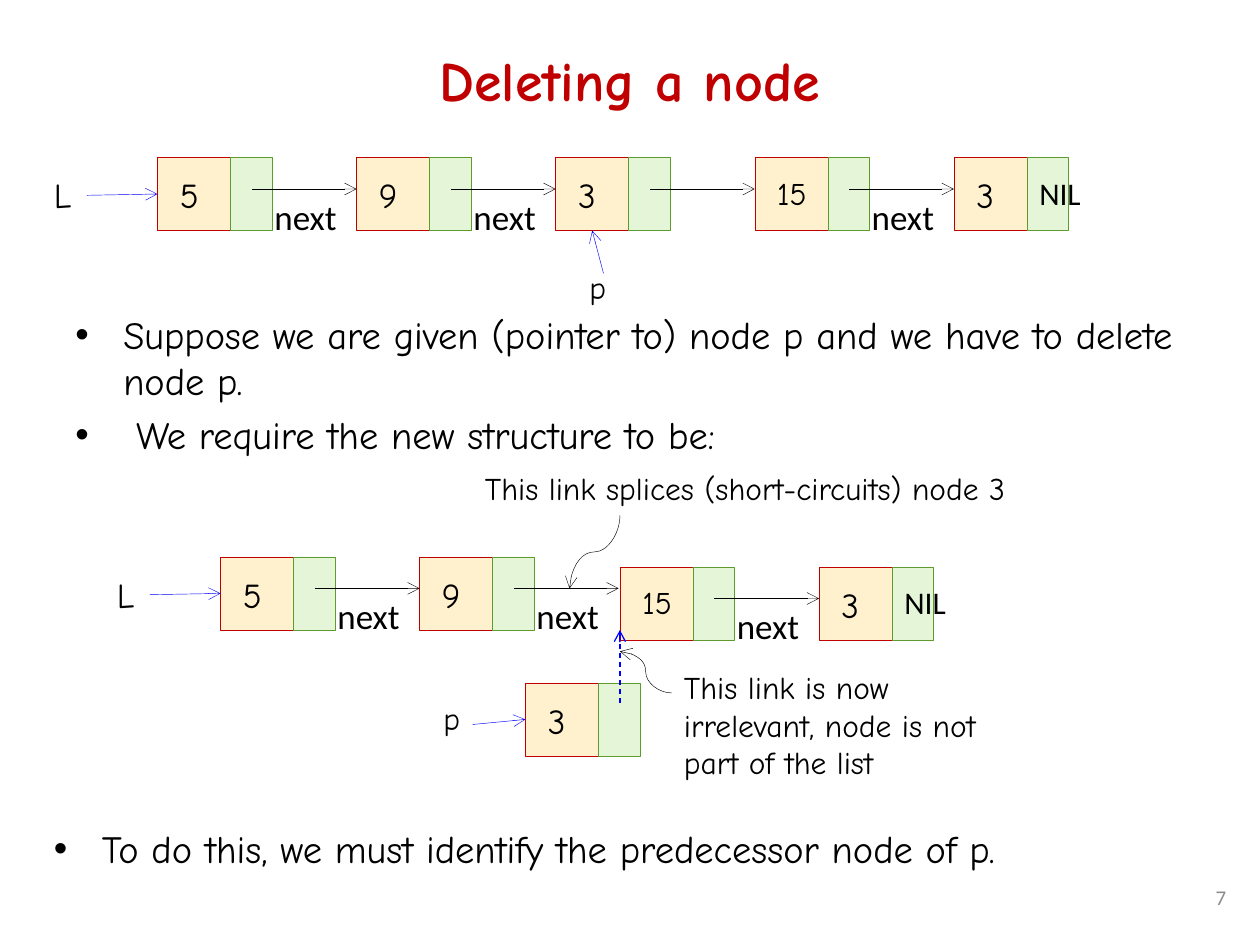
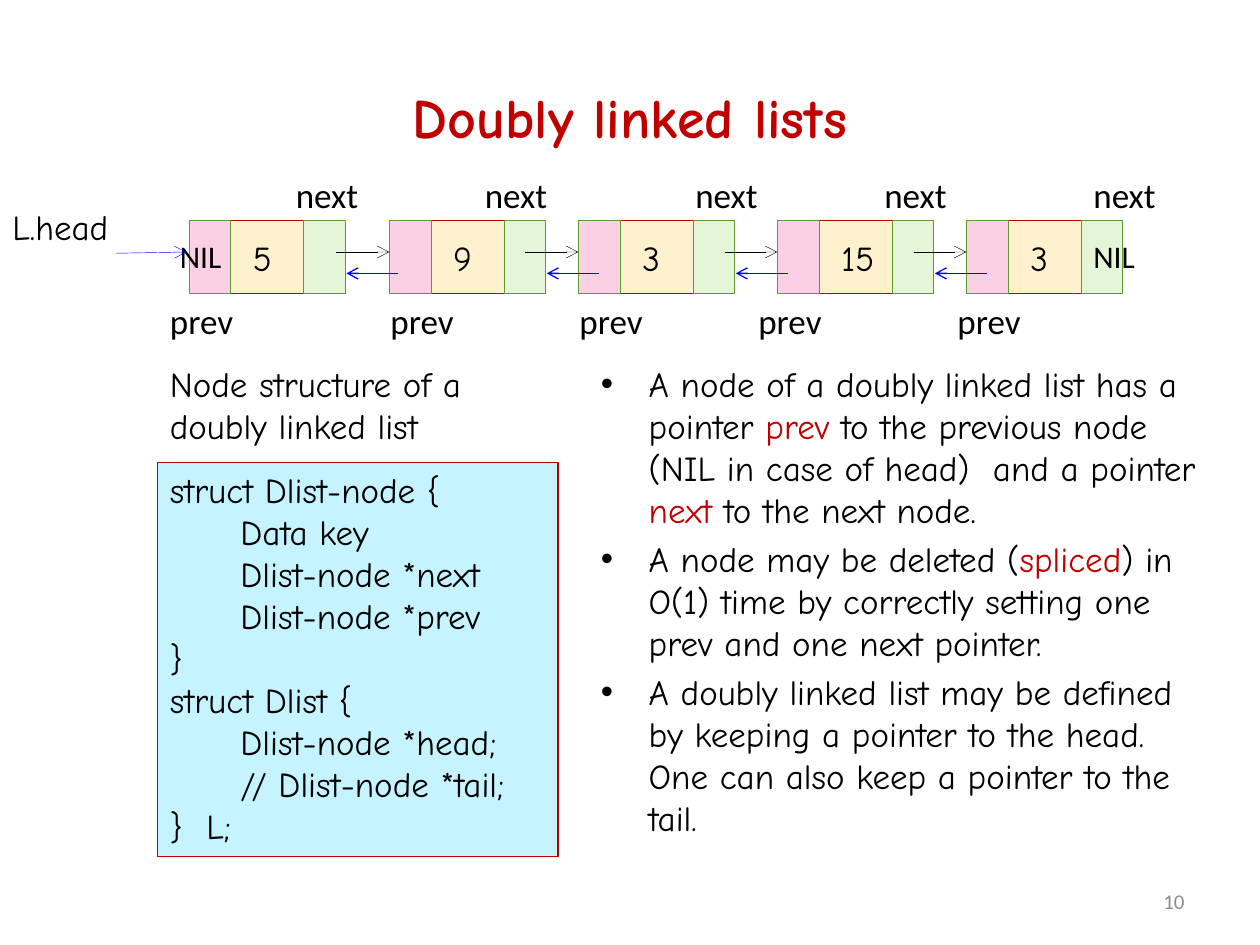
from itertools import pairwise

from lxml.etree import SubElement
from pptx import Presentation
from pptx.dml.color import RGBColor
from pptx.enum.dml import MSO_LINE
from pptx.enum.shapes import MSO_CONNECTOR, MSO_SHAPE
from pptx.enum.text import MSO_ANCHOR, MSO_AUTO_SIZE, PP_ALIGN
from pptx.oxml.ns import qn
from pptx.util import Inches, Pt

BLACK = RGBColor(0x00, 0x00, 0x00)
RED = RGBColor(0xC0, 0x00, 0x00)
BLUE = RGBColor(0x00, 0x00, 0xFF)
GRAY = RGBColor(0x8C, 0x8C, 0x8C)
GREEN = RGBColor(0x5E, 0x9B, 0x2C)
KEY_FILL = RGBColor(0xFF, 0xF1, 0xCE)
NEXT_FILL = RGBColor(0xE5, 0xF6, 0xD8)
PREV_FILL = RGBColor(0xFB, 0xD0, 0xE4)
CODE_FILL = RGBColor(0xC5, 0xF3, 0xFF)

HAND = "Comic Neue"
PLAIN = "Calibri"
KEY_WIDTH = 0.58
LINK_WIDTH = 0.33
NODE_HEIGHT = 0.58
NODE_STEP = 1.58
LABEL_WIDTHS = {"next": 0.7, "prev": 0.71, "NIL": 0.54, "15": 0.5, "L.head": 1.05}


class ListDeck:
    def __init__(self):
        self.presentation = Presentation()
        self.presentation.slide_width = Inches(10)
        self.presentation.slide_height = Inches(7.5)
        self.slide = None

    def start_slide(self, title, title_top, number, number_left, number_top):
        layout = self.presentation.slide_layouts[5]
        self.slide = self.presentation.slides.add_slide(layout)
        shape = self.slide.shapes.title
        shape.left, shape.top = Inches(0.5), Inches(title_top)
        shape.width, shape.height = Inches(9), Inches(1.25)
        frame = shape.text_frame
        frame.vertical_anchor = MSO_ANCHOR.MIDDLE
        paragraph = frame.paragraphs[0]
        paragraph.alignment = PP_ALIGN.CENTER
        self.run(paragraph, title, 32, HAND, RED).font.bold = True

        frame = self.text_box(number_left, number_top, 2.33, 0.4)
        frame.vertical_anchor = MSO_ANCHOR.MIDDLE
        frame.paragraphs[0].alignment = PP_ALIGN.RIGHT
        self.run(frame.paragraphs[0], number, 12, PLAIN, GRAY)

    def run(self, paragraph, text, size, font=HAND, color=BLACK):
        run = paragraph.add_run()
        run.text = text
        run.font.size = Pt(size)
        run.font.name = font
        run.font.color.rgb = color
        return run

    def text_box(self, left, top, width, height):
        box = self.slide.shapes.add_textbox(
            Inches(left), Inches(top), Inches(width), Inches(height))
        box.text_frame.word_wrap = True
        return box.text_frame

    def note(self, text, left, top, width, height, size):
        frame = self.text_box(left, top, width, height)
        self.run(frame.paragraphs[0], text, size)

    def label(self, text, left, top, size=20, font=HAND, width=None):
        height = 0.44 if size == 20 else 0.4
        width = width or LABEL_WIDTHS.get(text, 0.37)
        frame = self.text_box(left, top, width, height)
        frame.word_wrap = False
        frame.auto_size = MSO_AUTO_SIZE.SHAPE_TO_FIT_TEXT
        self.run(frame.paragraphs[0], text, size, font)

    def paragraphs(self, frame, count):
        for _ in range(count - 1):
            frame.add_paragraph()
        return frame.paragraphs

    def bullets(self, items, left, top, width, height, size):
        frame = self.text_box(left, top, width, height)
        for paragraph, runs in zip(self.paragraphs(frame, len(items)), items):
            paragraph.space_before = Pt(size * 0.2)
            properties = paragraph._p.get_or_add_pPr()
            properties.set("marL", str(Inches(0.38)))
            properties.set("indent", str(-Inches(0.38)))
            SubElement(properties, qn("a:buFont")).set("typeface", "Arial")
            SubElement(properties, qn("a:buChar")).set("char", "•")
            for text, color in runs:
                self.run(paragraph, text, size, HAND, color)

    def rectangle(self, left, top, width, height, fill, line, line_width=0.25):
        shape = self.slide.shapes.add_shape(
            MSO_SHAPE.RECTANGLE, Inches(left), Inches(top), Inches(width), Inches(height))
        shape.shadow.inherit = False
        shape.fill.solid()
        shape.fill.fore_color.rgb = fill
        shape.line.color.rgb = line
        shape.line.width = Pt(line_width)
        return shape

    def code(self, lines, left, top, width, height):
        shape = self.rectangle(left, top, width, height, CODE_FILL, RED, 0.75)
        frame = shape.text_frame
        frame.word_wrap = True
        frame.vertical_anchor = MSO_ANCHOR.TOP
        for paragraph, (level, text) in zip(self.paragraphs(frame, len(lines)), lines):
            paragraph.alignment = PP_ALIGN.LEFT
            paragraph._p.get_or_add_pPr().set("marL", str(Inches(0.56 * level)))
            self.run(paragraph, text, 20)

    def node(self, key, left, top, size=20, doubly=False):
        cell = self.rectangle(left, top, KEY_WIDTH, NODE_HEIGHT, KEY_FILL, RED)
        self.rectangle(left + KEY_WIDTH, top, LINK_WIDTH, NODE_HEIGHT, NEXT_FILL, GREEN)
        if doubly:
            self.rectangle(left - LINK_WIDTH, top, LINK_WIDTH, NODE_HEIGHT, PREV_FILL, GREEN)
        self.label(key, left + 0.08, top + 0.08, size)
        return cell

    def nil(self, left, top):
        self.label("NIL", left, top + 0.08, 18, PLAIN)

    def next_link(self, left, top, named=True):
        self.arrow((left + 0.75, top + 0.25), (left + NODE_STEP, top + 0.25))
        if named:
            self.label("next", left + 0.83, top + 0.25, font=PLAIN)

    def arrow(self, start, end, color=BLACK, width=0.25, kind=MSO_CONNECTOR.STRAIGHT):
        connector = self.slide.shapes.add_connector(
            kind, *(Inches(value) for value in (*start, *end)))
        connector.line.color.rgb = color
        connector.line.width = Pt(width)
        SubElement(connector.line._get_or_add_ln(), qn("a:tailEnd")).set("type", "arrow")
        SubElement(connector._element.spPr, qn("a:effectLst"))
        return connector

    def pointer(self, start, end, cell, site):
        self.arrow(start, end, BLUE).end_connect(cell, site)


def build_deleting(deck):
    deck.start_slide("Deleting a node", 0, "7", 7.5, 6.92)
    deck.bullets([
        [("Suppose we are given (pointer to) node p and we have to delete node p.", BLACK)],
        [(" We require the new structure to be:", BLACK)],
    ], 0.5, 2.42, 8.92, 1.42, 22)

    top = 1.25
    lefts = [1.25 + NODE_STEP * index for index in range(5)]
    cells = [deck.node(key, left, top, 18 if key == "15" else 20)
             for key, left in zip(["5", "9", "3", "15", "3"], lefts)]
    for index, left in enumerate(lefts[:-1]):
        deck.next_link(left, top, named=index != 2)
    deck.nil(lefts[-1] + KEY_WIDTH, top)
    deck.label("L", 0.33, 1.33)
    deck.pointer((0.69, 1.55), (1.25, 1.54), cells[0], 1)
    deck.label("p", 4.58, 2.08, 18, width=0.34)
    deck.pointer((4.79, 2.17), (4.71, 1.83), cells[2], 2)

    new_list = [("5", 1.75, 4.42, 20), ("9", 3.33, 4.42, 20),
                ("15", 4.92, 4.5, 18), ("3", 6.5, 4.5, 20)]
    cells = [deck.node(*entry) for entry in new_list]
    for _, left, top, _ in new_list[:-1]:
        deck.next_link(left, top)
    deck.nil(7.08, 4.5)
    deck.label("L", 0.83, 4.5)
    deck.pointer((1.19, 4.72), (1.75, 4.71), cells[0], 1)

    removed = deck.node("3", 4.17, 5.42)
    deck.label("p", 3.42, 5.5, 18, width=0.34)
    deck.pointer((3.75, 5.75), (4.17, 5.71), removed, 1)
    old_link = deck.arrow((4.92, 5.58), (4.92, 5), BLUE, 0.75)
    old_link.line.dash_style = MSO_LINE.DASH

    deck.arrow((5.33, 5.5), (4.92, 5.17), kind=MSO_CONNECTOR.CURVE)
    deck.note("This link is now irrelevant, node is not part of the list",
              5.33, 5.25, 2.83, 1.01, 18)
    splice = deck.arrow((4.43, 4.18), (5.01, 4.58), kind=MSO_CONNECTOR.CURVE)
    splice._element.spPr.xfrm.set("rot", str(90 * 60000))
    deck.label("This link splices (short-circuits) node 3", 3.75, 3.67, 18, width=4.82)
    deck.bullets([[("To do this, we must identify the predecessor node of p.", BLACK)]],
                 0.33, 6.5, 8.92, 1, 22)


def build_doubly_linked(deck):
    deck.start_slide("Doubly linked lists", 0.3, "10", 7.17, 6.95)
    top = 1.75
    lefts = [1.83, 3.42, 4.92, 6.5, 8]
    for key, left in zip(["5", "9", "3", "15", "3"], lefts):
        deck.node(key, left, top, doubly=True)
    for left, following in pairwise(lefts):
        deck.arrow((following - 0.75, 2), (following - LINK_WIDTH, 2))
        deck.arrow((left + 1.33, 2.17), (left + 0.92, 2.17), BLUE, 0.75)
    deck.nil(lefts[0] - 0.5, top)
    deck.nil(lefts[-1] + KEY_WIDTH, top)
    for left in (2.25, 3.75, 5.42, 6.92, 8.58):
        deck.label("next", left, 1.33, font=PLAIN)
    for left in (1.25, 3, 4.5, 5.92, 7.5):
        deck.label("prev", left, 2.33, font=PLAIN)
    deck.label("L.head", 0, 1.58)
    deck.arrow((0.92, 2.01), (1.48, 2), BLUE)

    deck.bullets([
        [("A node of a doubly linked list has a pointer ", BLACK), ("prev", RED),
         (" to the previous node (NIL in case of head)  and a pointer ", BLACK),
         ("next", RED), (" to the next node.", BLACK)],
        [("A node may be deleted (", BLACK), ("spliced", RED),
         (") in O(1) time by correctly setting one prev and one next pointer.", BLACK)],
        [("A doubly linked list may be defined by keeping a pointer to the head. "
          "One can also keep a pointer to the tail.", BLACK)],
    ], 4.67, 2.83, 4.92, 4.08, 20)
    deck.note("Node structure of a doubly linked list", 1.25, 2.83, 3.17, 0.77, 20)
    deck.code([
        (0, "struct Dlist-node {"),
        (1, "Data key"),
        (1, "Dlist-node *next"),
        (1, "Dlist-node *prev"),
        (0, "}"),
        (0, "struct Dlist {"),
        (1, "Dlist-node *head;"),
        (1, "// Dlist-node *tail;"),
        (0, "}  L;"),
    ], 1.25, 3.67, 3.18, 3.13)


def main():
    deck = ListDeck()
    build_deleting(deck)
    build_doubly_linked(deck)
    deck.presentation.save("out.pptx")


if __name__ == "__main__":
    main()
